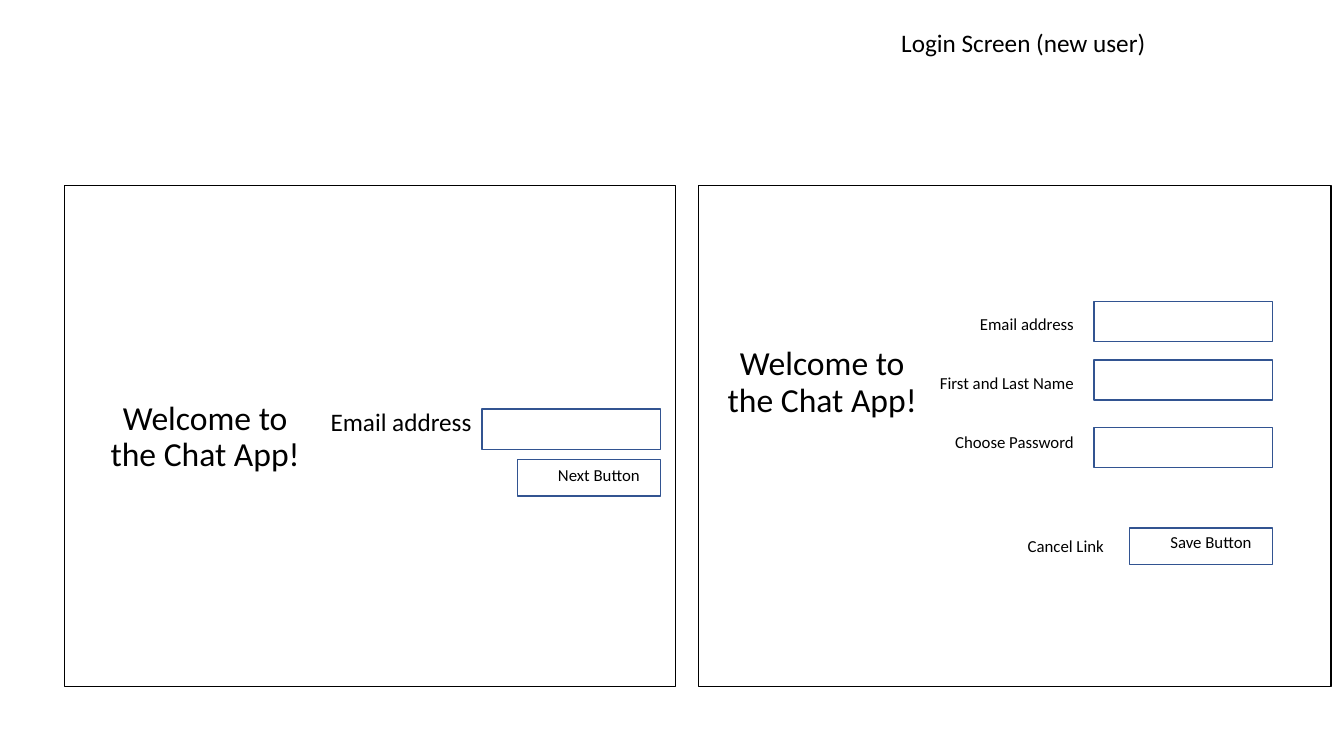
from pptx import Presentation
from pptx.dml.color import RGBColor
from pptx.enum.shapes import MSO_SHAPE
from pptx.enum.text import MSO_ANCHOR, MSO_AUTO_SIZE, PP_ALIGN
from pptx.util import Inches, Pt

BLACK, BLUE = "000000", "325491"
FONT = "Calibri"

# Content: positions are left, top (and width, height) in inches
HEADING = ("Login Screen (new user)", 8.84, 0.22, 2.66, 0.4)
WELCOME = "Welcome to the Chat App!"
WELCOME_PLACES = [(0.87, 3.75), (6.99, 3.21)]
SCREENS = [(0.64, 6.06), (6.93, 6.27)]  # left, width
SCREEN_TOP, SCREEN_HEIGHT = 1.84, 4.97

EMAIL_LABEL = ("Email address", 3.18, 3.98, 1.62, 0.4)
EMAIL_FIELD = (4.78, 4.06)
NEW_USER_LABELS = ["Email address", "First and Last Name", "Choose Password"]
NEW_USER_FIELD_TOPS = [2.99, 3.57, 4.24]
FIELD_LEFT, LABEL_RIGHT = 10.85, 10.75
LABEL_TOP, LABEL_STEP, LABEL_WIDTH = 3.06, 0.585, 1.55

FIELD_SIZE = (1.77, 0.4)
BUTTON_SIZE = (1.42, 0.36)
CAPTION_SIZE = (1.42, 0.4)
BUTTONS = [(5.13, 4.56), (11.2, 5.24)]
CAPTIONS = [("Next Button", 5.23, 4.58), ("Save Button", 11.3, 5.25),
            ("Cancel Link ", 9.88, 5.29)]

presentation = Presentation()
presentation.slide_width = Inches(13.33)
presentation.slide_height = Inches(7.5)
slide = presentation.slides.add_slide(presentation.slide_layouts[6])


def color(value):
    return RGBColor.from_string(value)


def add_box(left, top, width, height, line=BLUE):
    shape = slide.shapes.add_shape(MSO_SHAPE.RECTANGLE, Inches(left), Inches(top),
                                   Inches(width), Inches(height))
    shape.shadow.inherit = False
    shape.fill.background()
    shape.line.color.rgb = color(line)
    shape.line.width = Pt(1)


def add_text(text, left, top, width, height, size=12, align=PP_ALIGN.LEFT,
             anchor=MSO_ANCHOR.TOP, wrap=True, line_spacing=1.0, space_before=0):
    box = slide.shapes.add_textbox(Inches(left), Inches(top),
                                   Inches(width), Inches(height))
    frame = box.text_frame
    frame.word_wrap = wrap
    frame.auto_size = MSO_AUTO_SIZE.NONE if wrap else MSO_AUTO_SIZE.SHAPE_TO_FIT_TEXT
    frame.vertical_anchor = anchor
    paragraph = frame.paragraphs[0]
    paragraph.alignment = align
    paragraph.line_spacing = line_spacing
    paragraph.space_before = Pt(space_before)
    run = paragraph.add_run()
    run.text = text
    run.font.size = Pt(size)
    run.font.name = FONT
    run.font.color.rgb = color(BLACK)


# Screen frames and welcome titles
for left, width in SCREENS:
    add_box(left, SCREEN_TOP, width, SCREEN_HEIGHT, line=BLACK)
for left, top in WELCOME_PLACES:
    add_text(WELCOME, left, top, 2.33, 1, size=24, align=PP_ALIGN.CENTER,
             anchor=MSO_ANCHOR.BOTTOM, line_spacing=0.9)

# Heading and first-screen e-mail field
add_text(*HEADING, size=18, wrap=False)
add_text(*EMAIL_LABEL, size=18, wrap=False)
add_box(*EMAIL_FIELD, *FIELD_SIZE)

# New-user form
for row, (label, field_top) in enumerate(zip(NEW_USER_LABELS, NEW_USER_FIELD_TOPS)):
    add_box(FIELD_LEFT, field_top, *FIELD_SIZE)
    add_text(label, LABEL_RIGHT - LABEL_WIDTH, LABEL_TOP + row * LABEL_STEP,
             LABEL_WIDTH, 0.3, align=PP_ALIGN.RIGHT)

# Buttons and their captions
for left, top in BUTTONS:
    add_box(left, top, *BUTTON_SIZE)
for caption, left, top in CAPTIONS:
    add_text(caption, left, top, *CAPTION_SIZE, align=PP_ALIGN.CENTER,
             line_spacing=0.9, space_before=10)

presentation.save("out.pptx")
